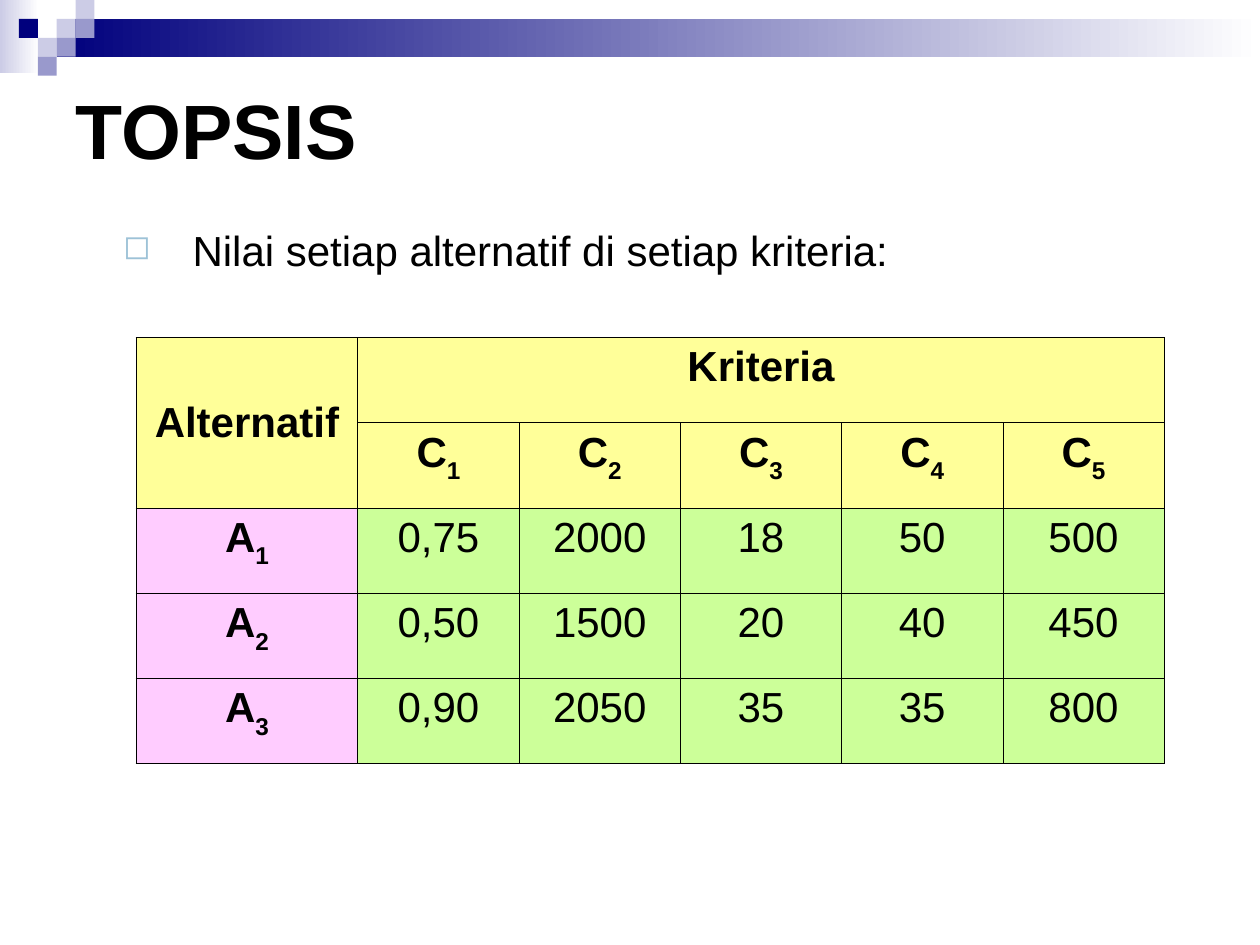
from lxml.etree import SubElement
from pptx import Presentation
from pptx.dml.color import RGBColor
from pptx.enum.shapes import MSO_SHAPE
from pptx.enum.text import MSO_ANCHOR, PP_ALIGN
from pptx.oxml.ns import qn
from pptx.util import Inches, Pt

COLORS = {
    "black": "000000", "white": "FFFFFF", "navy": "00007D",
    "lavender": "CCCCE6", "violet": "9999CC", "bullet": "9DC2D7",
    "header": "FFFF99", "alternative": "FFCCFF", "value": "CCFF99",
}
FONT = "Arial"

TITLE = "TOPSIS"
INTRO = "Nilai setiap alternatif di setiap kriteria:"
CORNER, GROUP = "Alternatif", "Kriteria"
ALTERNATIVES = [
    ("0,75", "2000", "18", "50", "500"),
    ("0,50", "1500", "20", "40", "450"),
    ("0,90", "2050", "35", "35", "800"),
]
CRITERIA_COUNT = len(ALTERNATIVES[0])

# left, top, width, height, start colour of the fade to white
FADES = [(0, 0, 0.31, 0.58, "lavender"), (0.45, 0.15, 9.55, 0.3, "navy")]
# column and row on the mosaic grid, colour
SQUARE = 0.15
MOSAIC = [
    (3, 1, "lavender"), (4, 0, "lavender"), (4, 1, "violet"),
    (2, 2, "lavender"), (1, 1, "navy"), (3, 2, "violet"), (2, 3, "violet"),
]


def rgb(name):
    return RGBColor.from_string(COLORS[name])


def add_rectangle(slide, left, top, width, height):
    shape = slide.shapes.add_shape(
        MSO_SHAPE.RECTANGLE, Inches(left), Inches(top), Inches(width), Inches(height))
    shape.shadow.inherit = False
    shape.line.fill.background()
    return shape


def style_paragraph(paragraph, size, bold=False):
    font = paragraph.font
    font.name, font.size, font.bold = FONT, Pt(size), bold
    font.color.rgb = rgb("black")


def add_borders(cell):
    properties = cell._tc.get_or_add_tcPr()
    for position, side in enumerate(("lnL", "lnR", "lnT", "lnB")):
        line = properties.makeelement(qn(f"a:{side}"), {"w": str(Pt(0.45))})
        fill = SubElement(line, qn("a:solidFill"))
        SubElement(fill, qn("a:srgbClr"), val=COLORS["black"])
        properties.insert(position, line)


def fill_cell(cell, text, color, subscript="", bold=True):
    cell.fill.solid()
    cell.fill.fore_color.rgb = rgb(color)
    paragraph = cell.text_frame.paragraphs[0]
    paragraph.alignment = PP_ALIGN.CENTER
    style_paragraph(paragraph, 24, bold)
    paragraph.add_run().text = text
    if subscript:
        run = paragraph.add_run()
        run.text = str(subscript)
        run._r.get_or_add_rPr().set("baseline", "-30000")


presentation = Presentation()
presentation.slide_width, presentation.slide_height = Inches(10), Inches(7.5)
slide = presentation.slides.add_slide(presentation.slide_layouts[5])

# Banner and mosaic
for left, top, width, height, color in FADES:
    fill = add_rectangle(slide, left, top, width, height).fill
    fill.gradient()
    fill.gradient_angle = 0
    for stop, name in zip(fill.gradient_stops, (color, "white")):
        stop.color.rgb = rgb(name)
for column, row, color in MOSAIC:
    square = add_rectangle(slide, column * SQUARE, row * SQUARE, SQUARE, SQUARE)
    square.fill.solid()
    square.fill.fore_color.rgb = rgb(color)

# Title
title = slide.shapes.title
title.left, title.top, title.width, title.height = map(Inches, (0.5, 0.5, 9, 1.05))
title.text_frame.text = TITLE
title.text_frame.vertical_anchor = MSO_ANCHOR.MIDDLE
paragraph = title.text_frame.paragraphs[0]
paragraph.alignment = PP_ALIGN.LEFT
style_paragraph(paragraph, 44, bold=True)

# Bulleted introduction
box = slide.shapes.add_textbox(Inches(0.38), Inches(1.73), Inches(8.6), Inches(0.68))
box.text_frame.word_wrap = True
box.text_frame.text = INTRO
paragraph = box.text_frame.paragraphs[0]
properties = paragraph._p.get_or_add_pPr()
properties.set("marL", str(Inches(1.05)))
properties.set("indent", str(-Inches(0.55)))
SubElement(SubElement(properties, qn("a:buClr")), qn("a:srgbClr"), val=COLORS["bullet"])
SubElement(properties, qn("a:buSzPct"), val="80000")
SubElement(properties, qn("a:buChar"), char="◻")
style_paragraph(paragraph, 24)

# Table of alternatives against criteria
table = slide.shapes.add_table(
    len(ALTERNATIVES) + 2, CRITERIA_COUNT + 1,
    Inches(1.08), Inches(2.68), Inches(8.15), Inches(3.38)).table
table.first_row = table.horz_banding = False
for index, column in enumerate(table.columns):
    column.width = Inches(1.28 if index else 1.76)
table.cell(0, 0).merge(table.cell(1, 0))
table.cell(0, 1).merge(table.cell(0, CRITERIA_COUNT))
fill_cell(table.cell(0, 0), CORNER, "header")
table.cell(0, 0).vertical_anchor = MSO_ANCHOR.MIDDLE
fill_cell(table.cell(0, 1), GROUP, "header")
for number in range(1, CRITERIA_COUNT + 1):
    fill_cell(table.cell(1, number), "C", "header", number)
for number, values in enumerate(ALTERNATIVES, 1):
    fill_cell(table.cell(number + 1, 0), "A", "alternative", number)
    for column, value in enumerate(values, 1):
        fill_cell(table.cell(number + 1, column), value, "value", bold=False)
for cell in table.iter_cells():
    add_borders(cell)

presentation.save("out.pptx")
